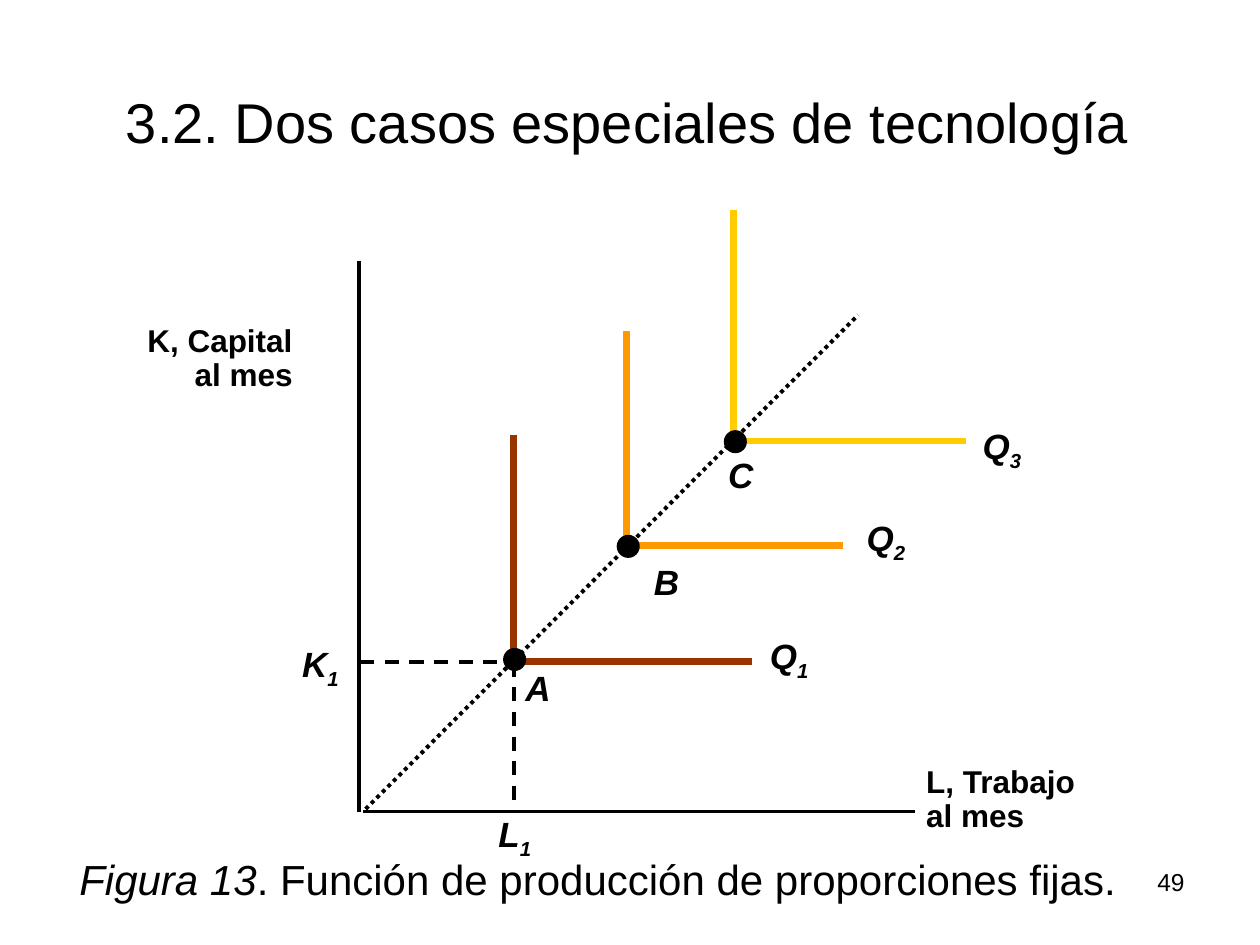
import pptx
import pptx.util
import pptx.dml.color
import pptx.enum.dml
import pptx.enum.shapes
import pptx.enum.text
import pptx.oxml
from pptx.oxml import ns

Cm = pptx.util.Cm
Pt = pptx.util.Pt
ALIGN = pptx.enum.text.PP_ALIGN
DASH = pptx.enum.dml.MSO_LINE

BLACK = "000000"
FONT = "Arial"
DOT_SIZE = 0.43

TITLE = "3.2. Dos casos especiales de tecnología"
CAPTION = [("Figura 13", True), (". Función de producción de proporciones fijas.", False)]
PAGE_NUMBER = "49"

AXIS_LABELS = [
    (["K, Capital", "al mes"], (2.72, 6.43, 3.43, 1.63), ALIGN.RIGHT),
    (["L, Trabajo", "al mes"], (18.42, 15.32, 3.53, 1.63), ALIGN.LEFT),
]
AXES = [
    ((7.24, 5.26), (7.24, 16.36)),
    ((7.32, 16.36), (18.44, 16.36)),
]
PROJECTIONS = [
    ((7.26, 13.34), (10.03, 13.34)),
    ((10.36, 13.36), (10.36, 16.33)),
]
EXPANSION_RAY = ((7.37, 16.31), (17.3, 6.35))

ISOQUANTS = [
    {"color": "FFCC00", "vertical": ((14.78, 8.79), (14.78, 4.24)),
     "horizontal": ((14.96, 8.89), (19.48, 8.89)), "dot": (14.61, 8.69)},
    {"color": "FF9900", "vertical": ((12.62, 10.9), (12.62, 6.68)),
     "horizontal": ((12.78, 11.0), (16.99, 11.0)), "dot": (12.45, 10.8)},
    {"color": "993300", "vertical": ((10.36, 13.36), (10.36, 8.76)),
     "horizontal": ((10.57, 13.34), (15.16, 13.34)), "dot": (10.16, 13.08)},
]
SYMBOLS = [
    ("L", "1", 9.8, 16.26, 1.19),
    ("K", "1", 5.84, 12.83, 1.27),
    ("Q", "1", 15.27, 12.67, 1.3),
    ("Q", "2", 17.22, 10.29, 1.3),
    ("Q", "3", 19.56, 8.43, 1.3),
    ("A", "", 10.34, 13.31, 1.02),
    ("B", "", 12.93, 11.18, 1.02),
    ("C", "", 14.43, 9.02, 1.02),
]


def rgb(color):
    return pptx.dml.color.RGBColor.from_string(color)


def format_font(font, size, bold=False, italic=False):
    font.name = FONT
    font.size = Pt(size)
    font.bold = bold
    font.italic = italic
    font.color.rgb = rgb(BLACK)


def add_text(slide, box, wrap=False):
    shape = slide.shapes.add_textbox(*map(Cm, box))
    shape.text_frame.word_wrap = wrap
    return shape.text_frame


def add_run(paragraph, text, size, bold=False, italic=False):
    run = paragraph.add_run()
    run.text = text
    format_font(run.font, size, bold, italic)
    return run


def add_line(slide, points, color, width, dash=None):
    start, end = points
    line = slide.shapes.add_connector(
        pptx.enum.shapes.MSO_CONNECTOR.STRAIGHT, *map(Cm, start + end))
    line.line.color.rgb = rgb(color)
    line.line.width = Pt(width)
    if dash:
        line.line.dash_style = dash
    properties = line._element.spPr
    properties.append(pptx.oxml.parse_xml(f"<a:effectLst {ns.nsdecls('a')}/>"))


def add_dot(slide, corner):
    dot = slide.shapes.add_shape(
        pptx.enum.shapes.MSO_SHAPE.OVAL, *map(Cm, corner + (DOT_SIZE, DOT_SIZE)))
    dot.shadow.inherit = False
    dot.fill.solid()
    dot.fill.fore_color.rgb = rgb(BLACK)
    dot.line.color.rgb = rgb(BLACK)
    dot.line.width = Pt(1)


def add_title(slide):
    title = slide.shapes.title
    title.left, title.top, title.width, title.height = map(Cm, (1.57, 2.21, 22.17, 1.04))
    frame = title.text_frame
    frame.text = TITLE
    frame.auto_size = pptx.enum.text.MSO_AUTO_SIZE.NONE
    frame.vertical_anchor = pptx.enum.text.MSO_ANCHOR.BOTTOM
    paragraph = frame.paragraphs[0]
    paragraph.alignment = ALIGN.CENTER
    format_font(paragraph.runs[0].font, 32)


def add_diagram(slide):
    for axis in AXES:
        add_line(slide, axis, BLACK, 2)
    for isoquant in ISOQUANTS:
        for side in ("vertical", "horizontal"):
            add_line(slide, isoquant[side], isoquant["color"], 4)
    for projection in PROJECTIONS:
        add_line(slide, projection, BLACK, 2, DASH.DASH)
    for isoquant in ISOQUANTS:
        add_dot(slide, isoquant["dot"])
    add_line(slide, EXPANSION_RAY, BLACK, 2.25, DASH.ROUND_DOT)


def add_labels(slide):
    for lines, box, alignment in AXIS_LABELS:
        frame = add_text(slide, box)
        frame.text = "\n".join(lines)
        for paragraph in frame.paragraphs:
            paragraph.alignment = alignment
            paragraph.line_spacing = 0.9
            format_font(paragraph.runs[0].font, 18, bold=True)
    for letter, subscript, left, top, width in SYMBOLS:
        paragraph = add_text(slide, (left, top, width, 1.09)).paragraphs[0]
        add_run(paragraph, letter, 20, bold=True, italic=True)
        if subscript:
            run = add_run(paragraph, subscript, 20, bold=True, italic=True)
            run.font._element.set("baseline", "-25000")


def add_footer(slide):
    paragraph = add_text(slide, (1.35, 17.09, 21.69, 1.27), wrap=True).paragraphs[0]
    for text, italic in CAPTION:
        add_run(paragraph, text, 24, italic=italic)
    paragraph = add_text(slide, (18.21, 17.35, 5.92, 1.32), wrap=True).paragraphs[0]
    paragraph.alignment = ALIGN.RIGHT
    add_run(paragraph, PAGE_NUMBER, 14)


def main():
    presentation = pptx.Presentation()
    presentation.slide_width = Cm(25.4)
    presentation.slide_height = Cm(19.05)
    slide = presentation.slides.add_slide(presentation.slide_layouts[5])
    add_title(slide)
    add_diagram(slide)
    add_labels(slide)
    add_footer(slide)
    presentation.save("out.pptx")


if __name__ == "__main__":
    main()
